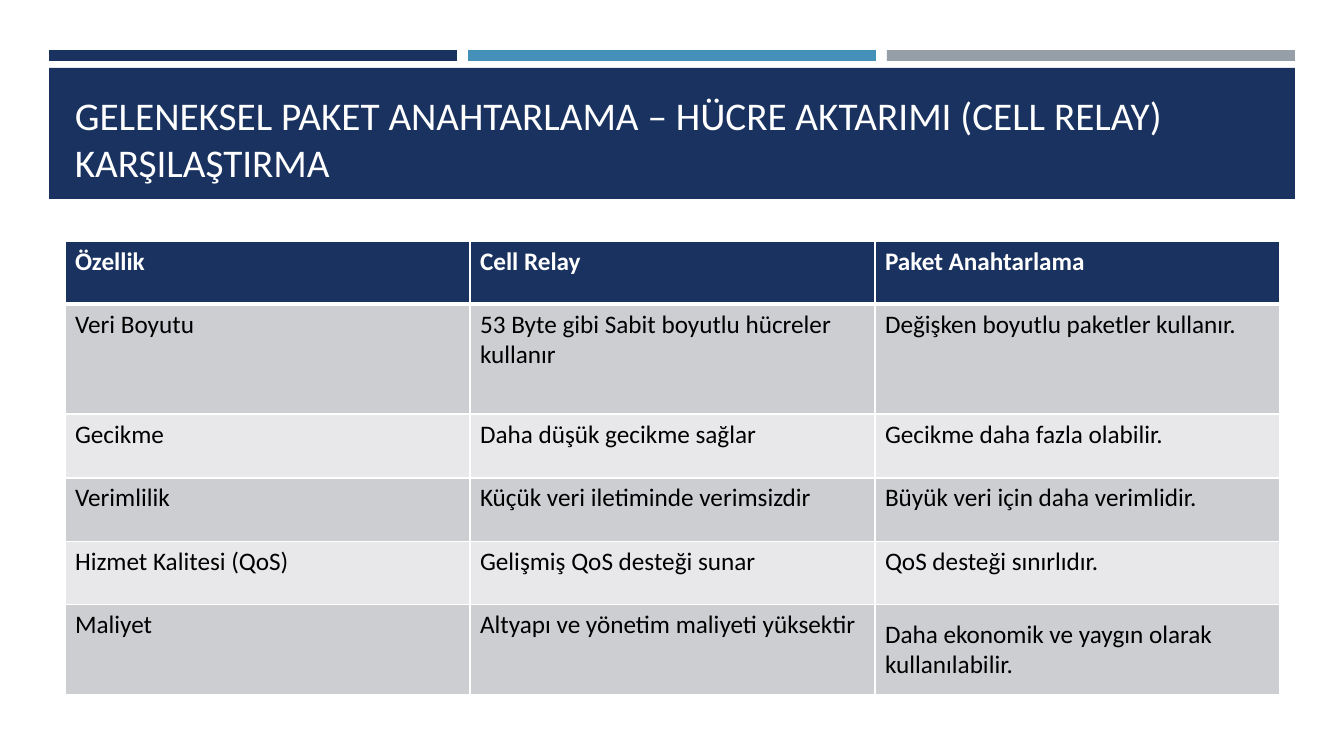
from lxml import etree
from pptx import Presentation
from pptx.dml.color import RGBColor
from pptx.enum.shapes import MSO_SHAPE
from pptx.enum.text import MSO_ANCHOR
from pptx.oxml.ns import qn
from pptx.util import Pt

RECT = MSO_SHAPE.RECTANGLE
TOP, MIDDLE, BOTTOM = MSO_ANCHOR.TOP, MSO_ANCHOR.MIDDLE, MSO_ANCHOR.BOTTOM

PX = 914400 / 100.8
NAVY, BLUE, GREY = "1A3260", "4590B8", "969FA7"
WHITE, BLACK = "FFFFFF", "000000"
BANDS = ["CDCED2", "E8E8EA"]

TITLE = "GELENEKSEL PAKET ANAHTARLAMA – HÜCRE AKTARIMI (CELL RELAY) KARŞILAŞTIRMA"
TITLE_FONT = {"name": "Calibri", "size": Pt(28), "bold": False}
HEADER_FONT = {"name": "Calibri", "size": Pt(18), "bold": True}
BODY_FONT = {"name": "Calibri", "size": Pt(18), "bold": False}

COLUMN_WIDTH = 405
ROW_HEIGHTS = [63, 110, 64, 64, 63, 90]
COMPARISON = [
    ["Özellik", "Cell Relay", "Paket Anahtarlama"],
    ["Veri Boyutu", "53 Byte gibi Sabit boyutlu hücreler kullanır",
     "Değişken boyutlu paketler kullanır."],
    ["Gecikme", "Daha düşük gecikme sağlar", "Gecikme daha fazla olabilir."],
    ["Verimlilik", "Küçük veri iletiminde verimsizdir",
     "Büyük veri için daha verimlidir."],
    ["Hizmet Kalitesi (QoS)", "Gelişmiş QoS desteği sunar",
     "QoS desteği sınırlıdır."],
    ["Maliyet", "Altyapı ve yönetim maliyeti yüksektir",
     "Daha ekonomik ve yaygın olarak kullanılabilir."],
]


def px(n):
    return round(n * PX)


def box(*lengths):
    return [px(n) for n in lengths]


def set_color(fmt, color):
    fmt.rgb = RGBColor.from_string(color)


def set_fill(target, color):
    target.fill.solid()
    set_color(target.fill.fore_color, color)


def write(tf, text, font, color):
    r = tf.paragraphs[0].add_run()
    r.text = text
    for name, value in font.items():
        setattr(r.font, name, value)
    set_color(r.font.color, color)


def add_bar(s, x, y, w, h, color):
    sp = s.shapes.add_shape(RECT, *box(x, y, w, h))
    sp.shadow.inherit = False
    set_fill(sp, color)
    sp.line.fill.background()


def add_title(s, text):
    tf = s.shapes.add_textbox(*box(65, 78, 1216, 112)).text_frame
    tf.word_wrap = True
    tf.vertical_anchor = BOTTOM
    write(tf, text, TITLE_FONT, WHITE)


def set_borders(cell, widths):
    """Draw white borders, with widths in points keyed by side letter."""
    tc_pr = cell._tc.get_or_add_tcPr()
    for i, (side, width) in enumerate(widths.items()):
        ln = etree.Element(qn(f"a:ln{side}"), w=str(Pt(width)))
        solid = etree.SubElement(ln, qn("a:solidFill"))
        etree.SubElement(solid, qn("a:srgbClr"), val=WHITE)
        tc_pr.insert(i, ln)


def add_comparison(s, rows):
    width = COLUMN_WIDTH * len(rows[0])
    frame = s.shapes.add_table(len(rows), len(rows[0]),
                               *box(65, 241, width, sum(ROW_HEIGHTS)))
    table = frame.table
    for column in table.columns:
        column.width = px(COLUMN_WIDTH)
    for i, (texts, height) in enumerate(zip(rows, ROW_HEIGHTS)):
        table.rows[i].height = px(height)
        header = i == 0
        for j, text in enumerate(texts):
            cell = table.cell(i, j)
            set_fill(cell, NAVY if header else BANDS[(i - 1) % 2])
            set_borders(cell, {"L": 1, "R": 1, "T": 3 if i == 1 else 1,
                               "B": 3 if header else 1})
            cell.vertical_anchor = TOP
            write(cell.text_frame, text, HEADER_FONT if header else BODY_FONT,
                  WHITE if header else BLACK)
    table.cell(len(rows) - 1, len(rows[0]) - 1).vertical_anchor = MIDDLE


def main():
    prs = Presentation()
    prs.slide_width, prs.slide_height = box(1344, 756)
    s = prs.slides.add_slide(prs.slide_layouts[6])
    for i, color in enumerate([NAVY, BLUE, GREY]):
        add_bar(s, 49 + 419 * i, 50, 408, 11, color)
    add_bar(s, 49, 68, 1246, 131, NAVY)
    add_title(s, TITLE)
    add_comparison(s, COMPARISON)
    prs.save("out.pptx")


if __name__ == "__main__":
    main()
